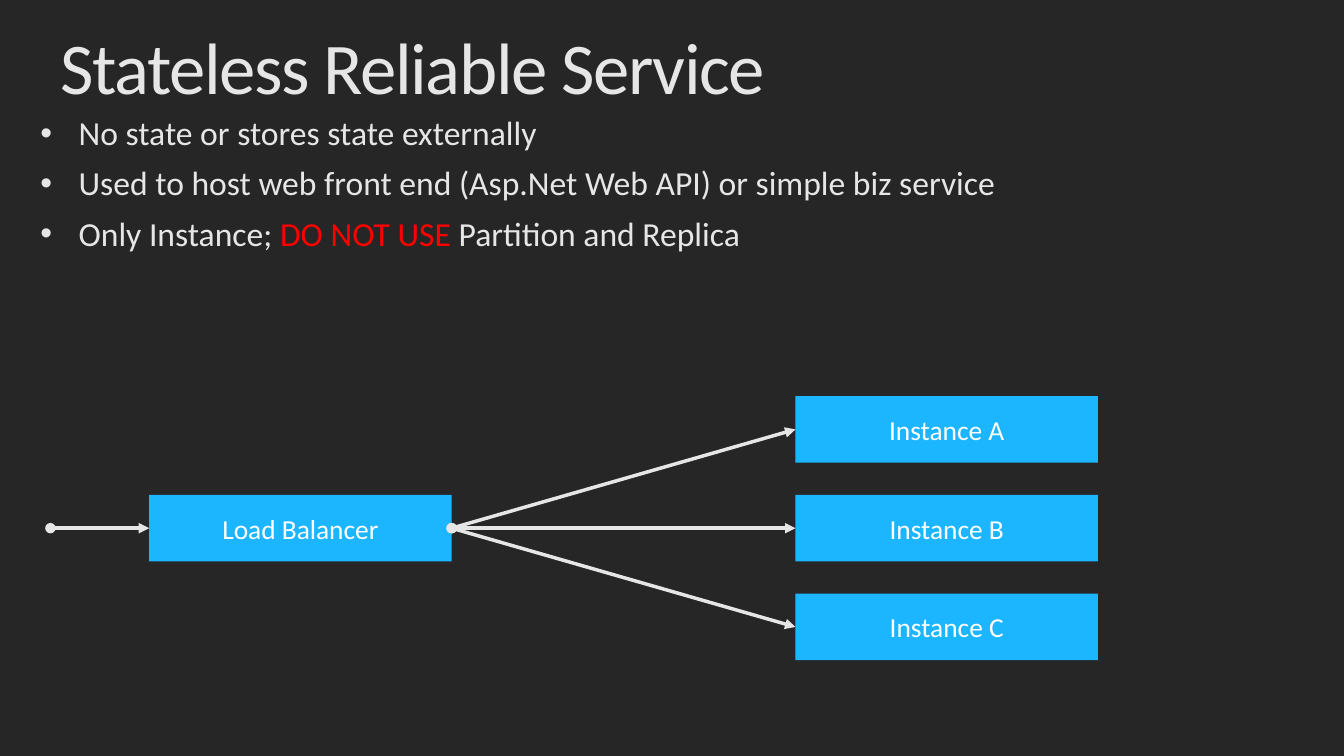
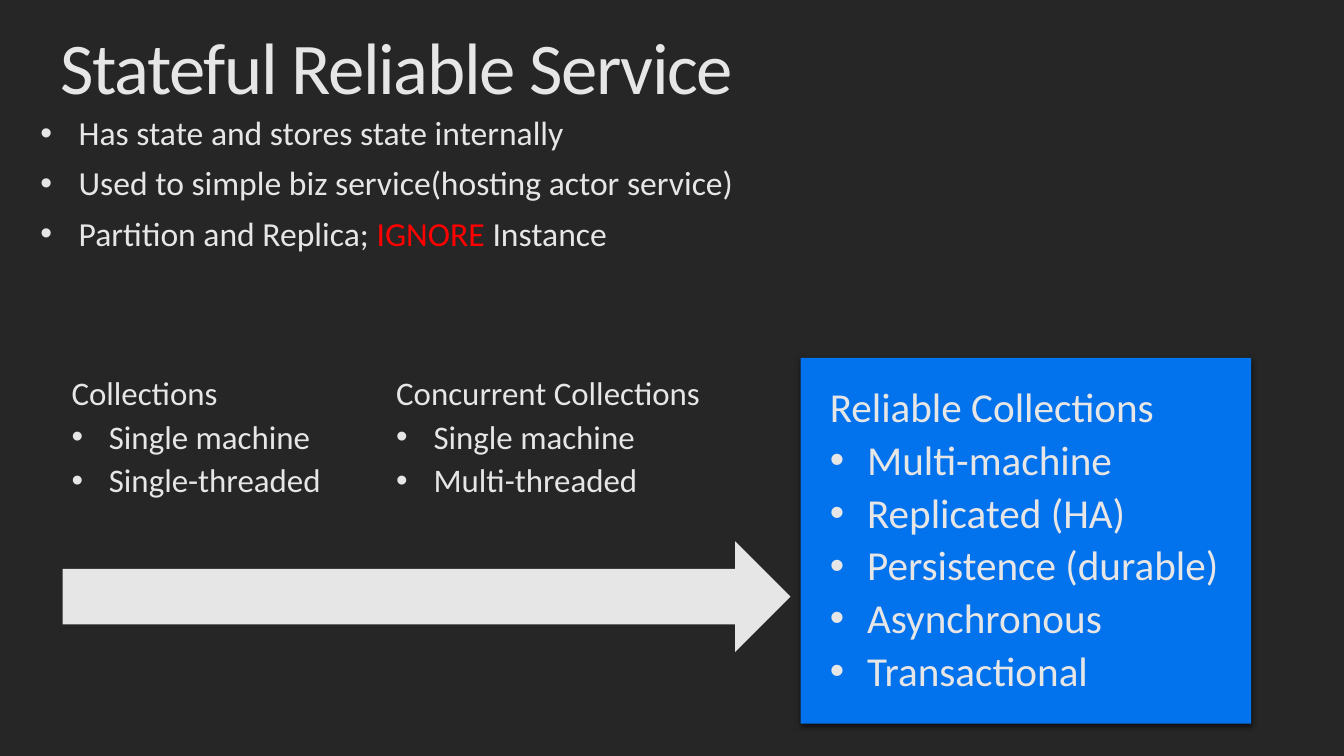
"""Build two slides that compare stateless and stateful reliable services."""
from lxml import etree
from pptx import Presentation
from pptx.dml.color import RGBColor
from pptx.enum.shapes import MSO_CONNECTOR, MSO_SHAPE
from pptx.enum.text import MSO_ANCHOR, MSO_AUTO_SIZE, PP_ALIGN
from pptx.oxml.ns import qn
from pptx.util import Emu, Pt

PX = 9144
FONT = "Calibri"
DARK, LIGHT, WHITE, RED = "262626", "E7E6E6", "FFFFFF", "FF0000"
SKY, BLUE, BLACK = "1CB5FF", "0372ED", "000000"
RECT, RIGHT_ARROW = MSO_SHAPE.RECTANGLE, MSO_SHAPE.RIGHT_ARROW
STRAIGHT = MSO_CONNECTOR.STRAIGHT
LEFT_SIDE, RIGHT_SIDE = 1, 3
TOP, MIDDLE = MSO_ANCHOR.TOP, MSO_ANCHOR.MIDDLE
LEFT, CENTER = PP_ALIGN.LEFT, PP_ALIGN.CENTER
NO_AUTOFIT = MSO_AUTO_SIZE.NONE

TITLE_BOX = (50, 20, 1200, 100)
BODY_BOX = (30, 110, 1274, 183)
NODE_W, NODE_H, NODE_PITCH = 300, 66, 98
BALANCER_X, INSTANCE_X, MIDDLE_Y = 148, 789, 491


def px(*values):
    """Turn pixel lengths into EMU."""
    return [Emu(v * PX) for v in values]


def rgb(color):
    """Turn a hex string into a colour."""
    return RGBColor.from_string(color)


def apply(obj, values):
    """Set each attribute named in values."""
    for name, value in values.items():
        setattr(obj, name, value)


def add_child(parent, tag, **attrs):
    """Append a DrawingML element with the given attributes."""
    return etree.SubElement(parent, qn(f"a:{tag}"), attrs)


def add_bullet(p, indent):
    """Give a paragraph a round bullet with a hanging indent."""
    pPr = p._p.get_or_add_pPr()
    pPr.set("marL", str(indent * PX))
    pPr.set("indent", str(-indent * PX))
    add_child(pPr, "buFont", typeface="Arial")
    add_child(pPr, "buChar", char="•")


def add_run(p, text, size, color):
    """Add a run of formatted text."""
    r = p.add_run()
    r.text = text
    apply(r.font, {"name": FONT, "size": Pt(size)})
    r.font.color.rgb = rgb(color)
    return r


def format_frame(tf, insets, anchor):
    """Set the margins, anchor and wrapping of a text frame."""
    left, top, right, bottom = px(*insets)
    apply(tf, {"margin_left": left, "margin_top": top, "margin_right": right,
               "margin_bottom": bottom, "vertical_anchor": anchor,
               "word_wrap": True, "auto_size": NO_AUTOFIT})


def fill_text(tf, lines, size, color=LIGHT, align=LEFT, spacing=0.9,
              before=0, after=0, indent=0, plain_lines=0):
    """Write lines, bulleted after plain_lines; text between stars is red."""
    for i, line in enumerate(lines):
        p = tf.add_paragraph() if i else tf.paragraphs[0]
        if indent and i >= plain_lines:
            add_bullet(p, indent)
        apply(p, {"alignment": align, "line_spacing": spacing,
                  "space_before": Pt(before if i else 0),
                  "space_after": Pt(after)})
        for j, part in enumerate(line.split("*")):
            add_run(p, part, size, RED if j % 2 else color)


def place(shape, box):
    """Move and size a shape."""
    apply(shape, dict(zip(("left", "top", "width", "height"), px(*box))))


def add_slide(prs, title, points):
    """Add a slide with its title and bullet points."""
    s = prs.slides.add_slide(prs.slide_layouts[1])
    heading, body = s.shapes.title, s.placeholders[1]
    place(heading, TITLE_BOX)
    format_frame(heading.text_frame, (10, 5, 10, 5), MIDDLE)
    fill_text(heading.text_frame, [title], 52)
    heading.text_frame.paragraphs[0].runs[0].font._element.set("spc", "-100")
    place(body, BODY_BOX)
    format_frame(body.text_frame, (10, 5, 10, 41), MIDDLE)
    fill_text(body.text_frame, points, 24, before=10, indent=38)
    return s


def add_block(s, kind, box, color):
    """Add a filled shape without outline or shadow."""
    sp = s.shapes.add_shape(kind, *px(*box))
    sp.shadow.inherit = False
    sp.fill.solid()
    sp.fill.fore_color.rgb = rgb(color)
    sp.line.fill.background()
    return sp


def add_node(s, label, x, y):
    """Add a labelled diagram box."""
    sp = add_block(s, RECT, (x, y, NODE_W, NODE_H), SKY)
    format_frame(sp.text_frame, (0, 5, 0, 5), MIDDLE)
    fill_text(sp.text_frame, [label], 19.6, WHITE, CENTER, 1.0)
    return sp


def add_arrow(s, target, source=None, start=(0, 0)):
    """Draw an arrow from a box, or a free point, to the target box."""
    line = s.shapes.add_connector(STRAIGHT, *px(*start, *start))
    if source:
        line.begin_connect(source, RIGHT_SIDE)
    line.end_connect(target, LEFT_SIDE)
    line.line.color.rgb = rgb(LIGHT)
    line.line.width = Pt(2.5)
    ln = line.line._get_or_add_ln()
    add_child(ln, "headEnd", type="oval")
    add_child(ln, "tailEnd", type="triangle")
    add_child(line._element.spPr, "effectLst")


def add_shadow(sp):
    """Give a shape a soft shadow below it."""
    shadow = add_child(sp._element.spPr.find(qn("a:effectLst")), "outerShdw",
                       blurRad=str(Pt(4.5)), dist=str(Pt(1.5)),
                       dir="5400000", algn="t", rotWithShape="0")
    add_child(add_child(shadow, "srgbClr", val=BLACK), "alpha", val="63000")


def fill_collection(sp, lines, size, insets):
    """Write a heading and its bulleted traits into a shape."""
    format_frame(sp.text_frame, insets, TOP)
    fill_text(sp.text_frame, lines, size, after=5.9, indent=37, plain_lines=1)


def stateless_slide(prs):
    """Build the slide with the load balancer diagram."""
    s = add_slide(prs, "Stateless Reliable Service", [
        "No state or stores state externally",
        "Used to host web front end (Asp.Net Web API) or simple biz service",
        "Only Instance; *DO NOT USE* Partition and Replica"])
    balancer = add_node(s, "Load Balancer", BALANCER_X, MIDDLE_Y)
    instances = [add_node(s, f"Instance {letter}", INSTANCE_X,
                          MIDDLE_Y + (i - 1) * NODE_PITCH)
                 for i, letter in enumerate("ABC")]
    add_arrow(s, balancer, start=(50, MIDDLE_Y + NODE_H // 2))
    for instance in instances:
        add_arrow(s, instance, balancer)


def stateful_slide(prs):
    """Build the slide with the kinds of collections."""
    s = add_slide(prs, "Stateful Reliable Service", [
        "Has state and stores state internally",
        "Used to simple biz service(hosting actor service)",
        "Partition and Replica; *IGNORE* Instance"])
    add_block(s, RIGHT_ARROW, (62, 537, 722, 110), LIGHT)
    for x, width, lines in (
            (51, 300, ["Collections", "Single machine", "Single-threaded"]),
            (373, 400, ["Concurrent Collections", "Single machine",
                        "Multi-threaded"])):
        tb = s.shapes.add_textbox(*px(x, 358, width, 234))
        fill_collection(tb, lines, 23.5, (20, 16, 20, 16))
    panel = add_block(s, RECT, (794, 355, 447, 363), BLUE)
    add_shadow(panel)
    fill_collection(panel, ["Reliable Collections", "Multi-machine",
                            "Replicated (HA)", "Persistence (durable)",
                            "Asynchronous", "Transactional"],
                    29.4, (29, 29, 20, 16))


def main():
    """Build and save the presentation."""
    prs = Presentation()
    prs.slide_width, prs.slide_height = px(1333, 750)
    background = prs.slide_master.background.fill
    background.solid()
    background.fore_color.rgb = rgb(DARK)
    stateless_slide(prs)
    stateful_slide(prs)
    prs.save("out.pptx")


if __name__ == "__main__":
    main()
